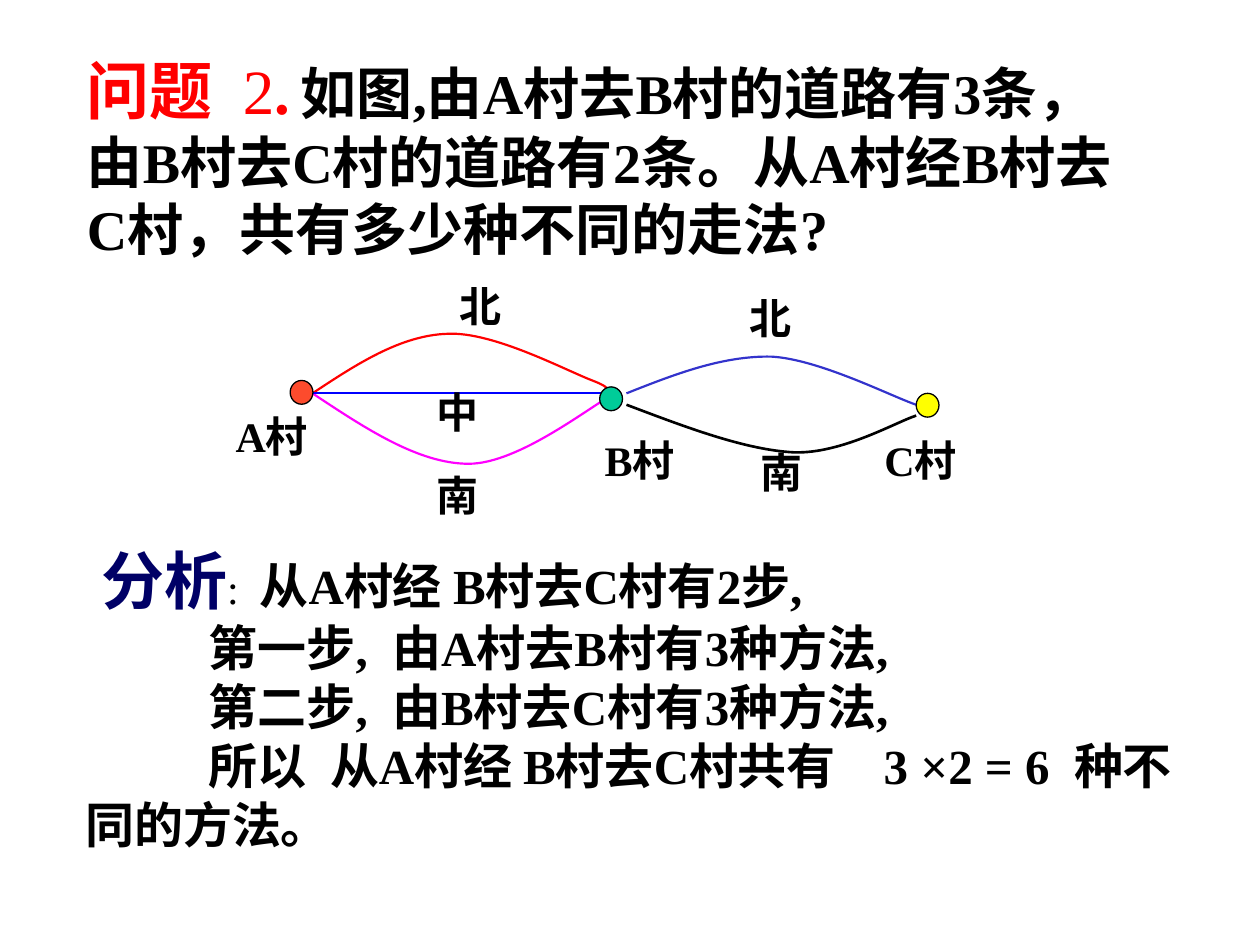
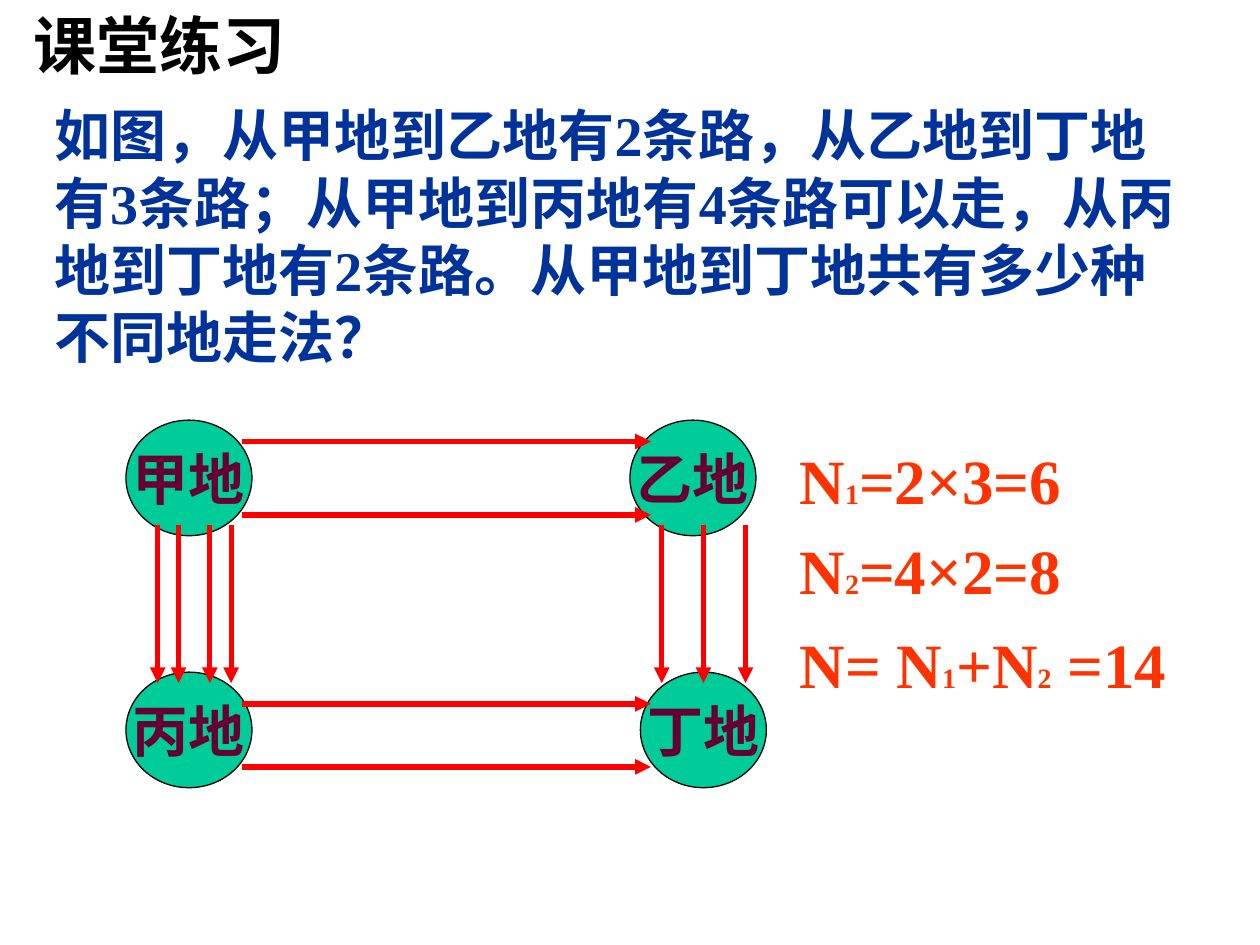
import pptx
import pptx.dml.color
import pptx.enum.shapes
import pptx.enum.text
import pptx.oxml
import pptx.oxml.ns
import pptx.util
from lxml import etree

Cm = pptx.util.Cm
Pt = pptx.util.Pt
RGBColor = pptx.dml.color.RGBColor
ELLIPSE = pptx.enum.shapes.MSO_SHAPE.OVAL

FONT = "Times New Roman"
BLACK = RGBColor(0x00, 0x00, 0x00)
RED = RGBColor(0xFF, 0x00, 0x00)
BLUE = RGBColor(0x00, 0x00, 0xFF)
MAGENTA = RGBColor(0xFF, 0x00, 0xFF)
INDIGO = RGBColor(0x33, 0x33, 0xCC)
NAVY = RGBColor(0x00, 0x00, 0x66)
GREEN = RGBColor(0x00, 0xCC, 0x99)
TOMATO = RGBColor(0xFD, 0x4B, 0x2D)
YELLOW = RGBColor(0xFF, 0xFF, 0x00)
EXERCISE_BLUE = RGBColor(0x00, 0x33, 0x99)
PLACE_PLUM = RGBColor(0x66, 0x00, 0x33)
FORMULA_ORANGE = RGBColor(0xFF, 0x33, 0x00)


def drawing_element(parent, name, **attributes):
    return etree.SubElement(parent, pptx.oxml.ns.qn(f"a:{name}"), attributes)


def style(font, size, color=BLACK, bold=True):
    font.name = FONT
    font.size = Pt(size)
    font.bold = bold
    font.color.rgb = color


def wide_space(size, widths=2, bold=True):
    return " ", size, BLACK, bold, (widths - 1) * size / 4


def add_run(paragraph, text, size=None, color=BLACK, bold=True, spacing=0):
    run = paragraph.add_run()
    run.text = text
    if size:
        style(run.font, size, color, bold)
    if spacing:
        run._r.get_or_add_rPr().set("spc", str(int(spacing * 100)))


def fill_paragraph(paragraph, runs, size, color=BLACK):
    style(paragraph.font, size, color)
    for run in runs:
        add_run(paragraph, *run)


def add_text_box(shapes, left, top, width, height):
    box = shapes.add_textbox(Cm(left), Cm(top), Cm(width), Cm(height))
    frame = box.text_frame
    frame.word_wrap = True
    frame.auto_size = pptx.enum.text.MSO_AUTO_SIZE.SHAPE_TO_FIT_TEXT
    return frame


def add_text(shapes, box, text, size, color=BLACK):
    frame = add_text_box(shapes, *box)
    fill_paragraph(frame.paragraphs[0], [(text,)], size, color)


def add_ellipse(shapes, left, top, width, height, fill):
    ellipse = shapes.add_shape(ELLIPSE, Cm(left), Cm(top), Cm(width), Cm(height))
    ellipse.shadow.inherit = False
    ellipse.fill.solid()
    ellipse.fill.fore_color.rgb = fill
    ellipse.line.color.rgb = BLACK
    ellipse.line.width = Pt(0.75)
    return ellipse


def add_line(shapes, start, end, color, width, arrow=False):
    line = shapes.add_connector(
        pptx.enum.shapes.MSO_CONNECTOR.STRAIGHT, *(Cm(value) for value in start + end)
    )
    line.line.color.rgb = color
    line.line.width = Pt(width)
    if arrow:
        drawing_element(line.line._get_or_add_ln(), "tailEnd", type="triangle")
    drawing_element(line._element.spPr, "effectLst")


def add_curve(shapes, left, top, nodes, color, width):
    points = [(Cm(left + x), Cm(top + y)) for x, y in nodes]
    builder = shapes.build_freeform(*points[0])
    builder.add_line_segments(points[1:], close=False)
    curve = builder.convert_to_shape()
    segments = list(curve._element.iter(pptx.oxml.ns.qn("a:lnTo")))
    outline = segments[0].getparent()
    for first in range(0, len(segments), 3):
        bezier = drawing_element(outline, "cubicBezTo")
        for segment in segments[first:first + 3]:
            bezier.append(segment[0])
            outline.remove(segment)
    curve.shadow.inherit = False
    curve.fill.background()
    curve.line.color.rgb = color
    curve.line.width = Pt(width)


def add_question(slide, box):
    paragraph = add_text_box(slide.shapes, *box).paragraphs[0]
    fill_paragraph(paragraph, [
        ("问题", 36, RED),
        wide_space(36),
        ("2", 36, RED, False),
        (".", 36, RED),
        (" ", 24, BLACK, False),
        ("如图,由A村去B村的道路有3条，由B村去C村的道路有2条。"
         "从A村经B村去C村，共有多少种不同的走法?",),
    ], 32)


def add_village_map(slide, left, top):
    shapes = slide.shapes.add_group_shape().shapes
    roads = [
        (RED, 1.25, [(1.8, 2.39), (2.69, 1.8), (3.58, 1.22), (4.52, 1.19),
                     (5.44, 1.14), (6.91, 1.93), (7.44, 2.13),
                     (7.98, 2.34), (7.62, 2.34), (7.67, 2.39)]),
        (MAGENTA, 1.25, [(1.8, 2.39), (2.87, 3.1), (3.94, 3.81), (4.95, 3.81),
                         (5.97, 3.81), (7.44, 2.62), (7.9, 2.39)]),
        (INDIGO, 1.25, [(8.13, 2.39), (9.09, 2.01), (10.06, 1.63), (11.05, 1.65),
                        (12.01, 1.7), (13.49, 2.46), (13.97, 2.62)]),
        (BLACK, 1.5, [(8.13, 2.62), (9.32, 3.07), (10.52, 3.53), (11.51, 3.58),
                      (12.47, 3.61), (13.56, 2.97), (13.97, 2.84)]),
    ]
    for color, width, nodes in roads:
        add_curve(shapes, left, top, nodes, color, width)
    road_y = top + 2.39
    add_line(shapes, (left + 1.8, road_y), (left + 7.67, road_y), BLUE, 1.25)

    for x, y, fill in [(1.35, 2.13, TOMATO), (7.59, 2.26, GREEN), (13.97, 2.39, YELLOW)]:
        add_ellipse(shapes, left + x, top + y, 0.46, 0.48, fill)

    labels = [
        ("A村", 0, 2.62, 2.49), ("B村", 7.44, 3.1, 2.69), ("C村", 13.08, 3.1, 2.92),
        ("北", 4.52, 0, 3.15), ("中", 4.06, 2.13, 1.8), ("南", 4.06, 3.81, 1.35),
        ("北", 10.36, 0.23, 3.15), ("南", 10.59, 3.33, 1.35),
    ]
    for text, x, y, width in labels:
        add_text(shapes, (left + x, top + y, width, 1.27), text, 24)


def add_analysis(slide, box):
    frame = add_text_box(slide.shapes, *box)
    gap = wide_space(28)
    lines = [
        (0.32, [("分析", 36, NAVY), (":", 24, BLACK, False),
                wide_space(24, bold=False), ("从A村经 B村去C村有2步,",)]),
        (2.49, [("第一步,",), gap, ("由A村去B村有3种方法,",)]),
        (2.49, [("第二步,",), gap, ("由B村去C村有3种方法,",)]),
        (2.49, [("所以",), gap, ("从A村经 B村去C村共有",), wide_space(28, 4),
                ("3 ×2 = 6",), gap, ("种不同的方法。",)]),
    ]
    for number, (indent, runs) in enumerate(lines):
        paragraph = frame.add_paragraph() if number else frame.paragraphs[0]
        paragraph._p.get_or_add_pPr().set("indent", str(int(Cm(indent))))
        fill_paragraph(paragraph, runs, 28)


def add_route_map(slide, left, top):
    shapes = slide.shapes.add_group_shape().shapes
    places = [("甲地", 0, 0), ("丙地", 0, 5.08), ("丁地", 10.37, 5.08), ("乙地", 10.16, 0)]
    for name, x, y in places:
        ellipse = add_ellipse(shapes, left + x, top + y, 2.54, 2.33, GREEN)
        frame = ellipse.text_frame
        frame.word_wrap = False
        frame.vertical_anchor = pptx.enum.text.MSO_ANCHOR.MIDDLE
        paragraph = frame.paragraphs[0]
        paragraph.alignment = pptx.enum.text.PP_ALIGN.CENTER
        fill_paragraph(paragraph, [(name,)], 32, PLACE_PLUM)

    across = [((2.33, y), (10.58, y)) for y in (0.43, 1.91, 5.72, 6.99)]
    down = [((x, 2.12), (x, 5.3)) for x in (0.64, 1.06, 1.69, 2.12, 10.8, 11.64, 12.49)]
    for (x1, y1), (x2, y2) in across + down:
        add_line(shapes, (left + x1, top + y1), (left + x2, top + y2), RED, 3, arrow=True)


def add_formulas(slide, left, top):
    index_look = (16, FORMULA_ORANGE)
    formulas = [
        (0, [("N",), ("1", *index_look), ("=2×3=6",)]),
        (1.83, [("N",), ("2", *index_look), ("=4×2=8",)]),
        (3.72, [("N= N",), ("1", *index_look), ("+N",), ("2", *index_look), (" =14",)]),
    ]
    for offset, runs in formulas:
        frame = add_text_box(slide.shapes, left, top + offset, 8.89, 1.78)
        fill_paragraph(frame.paragraphs[0], runs, 36, FORMULA_ORANGE)


def build_problem_slide(slide):
    add_question(slide, (1.5, 0.92, 21.62, 6.55))
    add_village_map(slide, 4.5, 5.54)
    add_analysis(slide, (1.47, 10.8, 22.43, 6.53))


def build_exercise_slide(slide):
    add_text(
        slide.shapes, (0.84, 1.91, 23.5, 5.69),
        "如图，从甲地到乙地有2条路，从乙地到丁地有3条路；从甲地到丙地有4条路可以走，"
        "从丙地到丁地有2条路。从甲地到丁地共有多少种不同地走法？",
        32, EXERCISE_BLUE,
    )
    add_text(slide.shapes, (0.43, 0, 7.19, 1.78), "课堂练习", 36)
    add_route_map(slide, 2.54, 8.47)
    add_formulas(slide, 15.87, 8.77)


def main():
    presentation = pptx.Presentation()
    presentation.slide_width = Cm(25.4)
    presentation.slide_height = Cm(19.05)
    for build in (build_problem_slide, build_exercise_slide):
        build(presentation.slides.add_slide(presentation.slide_layouts[6]))
    presentation.save("out.pptx")


if __name__ == "__main__":
    main()
